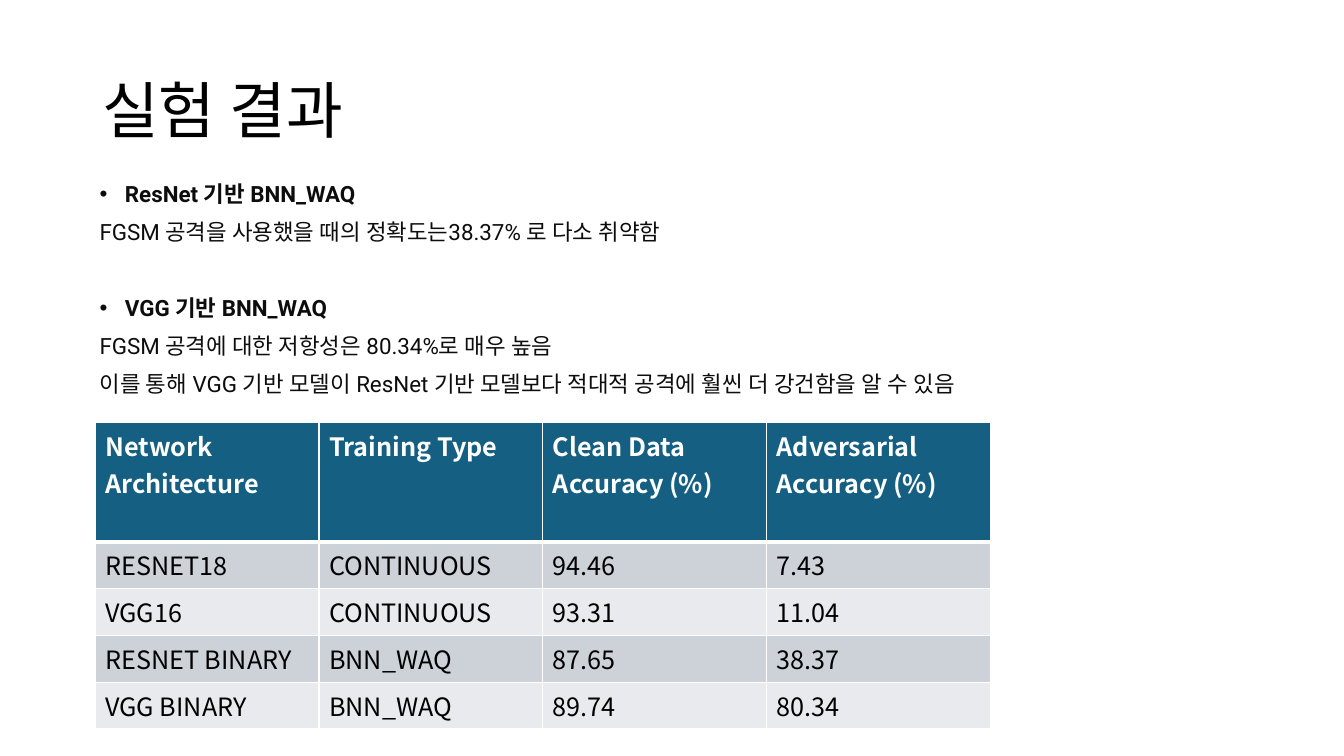
from dataclasses import dataclass

from lxml.etree import SubElement
from pptx import Presentation
from pptx.dml.color import RGBColor
from pptx.enum.text import MSO_ANCHOR
from pptx.oxml.ns import qn
from pptx.util import Cm, Pt


@dataclass(frozen=True)
class Theme:
    sans: str = "Noto Sans CJK KR"
    body: str = "Roboto"
    black: str = "000000"
    ink: str = "0D0D0D"
    white: str = "FFFFFF"
    header: str = "156082"
    bands: tuple = ("CCD2D8", "E8EAED")
    title_size: int = 44
    body_size: int = 16
    table_size: int = 18


class SlideBuilder:
    def __init__(self, slide, theme):
        self.slide = slide
        self.theme = theme

    def style(self, para, family, size, color, bold=False):
        for span in para.runs:
            span.font.name = family
            span.font.size = Pt(size)
            span.font.bold = bold
            span.font.color.rgb = RGBColor.from_string(color)
            SubElement(span.font._element, qn("a:ea")).set("typeface", family)

    def frame(self, left, top, width, height):
        box = self.slide.shapes.add_textbox(Cm(left), Cm(top), Cm(width), Cm(height))
        box.text_frame.word_wrap = True
        return box.text_frame

    def title(self, text, *area):
        frame = self.frame(*area)
        frame.vertical_anchor = MSO_ANCHOR.MIDDLE
        frame.text = text
        para = frame.paragraphs[0]
        para.line_spacing = 0.9
        self.style(para, self.theme.sans, self.theme.title_size, self.theme.black)

    def bullet(self, para):
        properties = para._p.get_or_add_pPr()
        properties.set("marL", str(Cm(0.64)))
        properties.set("indent", str(Cm(-0.64)))
        SubElement(properties, qn("a:buFont")).set("typeface", "Arial")
        SubElement(properties, qn("a:buChar")).set("char", "•")

    def findings(self, groups, *area):
        frame = self.frame(*area)
        para = frame.paragraphs[0]
        for group_index, group in enumerate(groups):
            for line_index, text in enumerate(group):
                heading = line_index == 0
                if group_index or line_index:
                    para = frame.add_paragraph()
                    para.space_before = Pt(37 if heading else 10)
                para.text = text
                para.line_spacing = 0.9
                if heading:
                    self.bullet(para)
                self.style(para, self.theme.body, self.theme.body_size, self.theme.ink, heading)

    def borders(self, cell, bottom):
        properties = cell._tc.get_or_add_tcPr()
        for side, width in (("L", 1), ("R", 1), ("T", 1), ("B", bottom)):
            line = SubElement(properties, qn(f"a:ln{side}"), w=str(Pt(width)))
            fill = SubElement(line, qn("a:solidFill"))
            SubElement(fill, qn("a:srgbClr"), val=self.theme.white)

    def table(self, rows, left, top, column_width, header_height, row_height):
        columns = len(rows[0])
        height = header_height + row_height * (len(rows) - 1)
        table = self.slide.shapes.add_table(
            len(rows), columns, Cm(left), Cm(top), Cm(column_width * columns), Cm(height)
        ).table
        for column in table.columns:
            column.width = Cm(column_width)
        for row_index, values in enumerate(rows):
            header = row_index == 0
            table.rows[row_index].height = Cm(header_height if header else row_height)
            background = self.theme.header if header else self.theme.bands[(row_index - 1) % 2]
            color = self.theme.white if header else self.theme.black
            for cell, value in zip(table.rows[row_index].cells, values):
                cell.text = value
                cell.vertical_anchor = MSO_ANCHOR.MIDDLE if row_index > 1 else MSO_ANCHOR.TOP
                self.borders(cell, 3 if header else 1)
                cell.fill.solid()
                cell.fill.fore_color.rgb = RGBColor.from_string(background)
                para = cell.text_frame.paragraphs[0]
                self.style(para, self.theme.sans, self.theme.table_size, color, header)


FINDINGS = (
    ("ResNet 기반 BNN_WAQ", "FGSM 공격을 사용했을 때의 정확도는38.37% 로 다소 취약함"),
    (
        "VGG 기반 BNN_WAQ",
        "FGSM 공격에 대한 저항성은 80.34%로 매우 높음",
        "이를 통해 VGG 기반 모델이 ResNet 기반 모델보다 적대적 공격에 훨씬 더 강건함을 알 수 있음",
    ),
)

RESULTS = (
    ("Network Architecture", "Training Type", "Clean Data Accuracy (%)", "Adversarial Accuracy (%)"),
    ("RESNET18", "CONTINUOUS", "94.46", "7.43"),
    ("VGG16", "CONTINUOUS", "93.31", "11.04"),
    ("RESNET BINARY", "BNN_WAQ", "87.65", "38.37"),
    ("VGG BINARY", "BNN_WAQ", "89.74", "80.34"),
)


def main():
    deck = Presentation()
    deck.slide_width = Cm(33.87)
    deck.slide_height = Cm(19.05)
    page = SlideBuilder(deck.slides.add_slide(deck.slide_layouts[6]), Theme())
    page.title("실험 결과", 2.33, 1.01, 29.21, 3.68)
    page.findings(FINDINGS, 2.26, 4.48, 29.21, 11.03)
    page.table(RESULTS, 2.4, 10.65, 5.64, 3, 1.18)
    deck.save("out.pptx")


if __name__ == "__main__":
    main()
